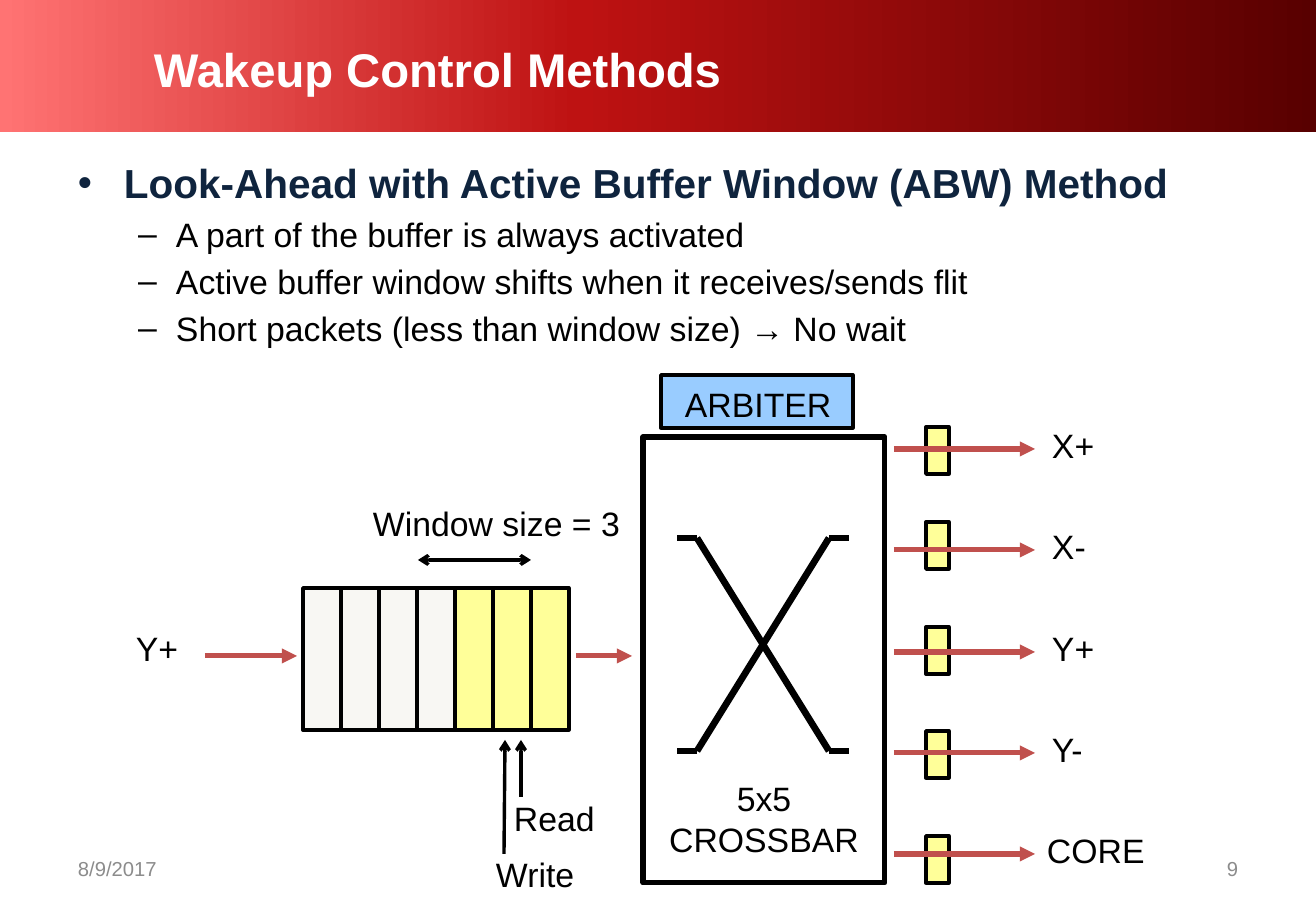
from copy import deepcopy

from lxml.etree import SubElement
from pptx import Presentation
from pptx.dml.color import RGBColor
from pptx.enum.shapes import MSO_CONNECTOR, MSO_SHAPE
from pptx.enum.text import MSO_ANCHOR, PP_ALIGN
from pptx.oxml.ns import qn
from pptx.util import Pt

SCALE = 914400 / 121.5  # EMU per pixel
BLACK, WHITE, RED = "000000", "FFFFFF", "C0504D"
NAVY, GRAY, BLUE = "0F243E", "8C8C8C", "99CCFF"
ACTIVE, SLEEPING = "FFFF99", "F8F7F3"


def px(value):
    return round(value * SCALE)


def color(hex_value):
    return RGBColor.from_string(hex_value)


def add_box(slide, left, top, width, height, fill, line_width=2):
    shape = slide.shapes.add_shape(
        MSO_SHAPE.RECTANGLE, px(left), px(top), px(width), px(height))
    shape.shadow.inherit = False
    shape.fill.solid()
    shape.fill.fore_color.rgb = color(fill)
    shape.line.color.rgb = color(BLACK)
    shape.line.width = Pt(line_width)
    return shape


def add_banner(slide, width, height, stops):
    banner = add_box(slide, 0, 0, width, height, WHITE)
    banner.line.fill.background()
    banner.fill.gradient()
    banner.fill.gradient_angle = 0
    first_stop = banner._element.spPr.find(".//" + qn("a:gs"))
    first_stop.addnext(deepcopy(first_stop))
    for stop, (position, hex_value) in zip(banner.fill.gradient_stops, stops):
        stop.position = position
        stop.color.rgb = color(hex_value)


def add_line(slide, start, end, hex_value=BLACK, width=2, head=None, tail=None):
    line = slide.shapes.add_connector(
        MSO_CONNECTOR.STRAIGHT, *map(px, start), *map(px, end))
    line.line.color.rgb = color(hex_value)
    line.line.width = Pt(width)
    outline = line.line._get_or_add_ln()
    for tag, kind in (("a:headEnd", head), ("a:tailEnd", tail)):
        if kind:
            SubElement(outline, qn(tag), type=kind)
    SubElement(line._element.spPr, qn("a:effectLst"))


def format_paragraph(paragraph, text, size=20, hex_value=BLACK, bold=False,
                     align=PP_ALIGN.LEFT):
    paragraph.alignment = align
    run = paragraph.add_run()
    run.text = text
    run.font.name = "Arial"
    run.font.size = Pt(size)
    run.font.bold = bold
    run.font.color.rgb = color(hex_value)


def add_frame(slide, left, top, width, height, wrap=False, anchor=MSO_ANCHOR.TOP):
    frame = slide.shapes.add_textbox(
        px(left), px(top), px(width), px(height)).text_frame
    frame.word_wrap = wrap
    frame.vertical_anchor = anchor
    return frame


def add_text(slide, text, left, top, width, height=53, wrap=False,
             anchor=MSO_ANCHOR.TOP, **text_format):
    frame = add_frame(slide, left, top, width, height, wrap, anchor)
    format_paragraph(frame.paragraphs[0], text, **text_format)


def add_bullets(slide, left, top, width, height, items):
    frame = add_frame(slide, left, top, width, height, wrap=True)
    for index, (level, text) in enumerate(items):
        paragraph = frame.add_paragraph() if index else frame.paragraphs[0]
        margin, hanging, bullet, size, hex_value = (
            (46, 46, "•", 24, NAVY), (98, 38, "–", 20, BLACK))[level]
        format_paragraph(paragraph, text, size=size, hex_value=hex_value,
                         bold=level == 0)
        paragraph.level = level
        paragraph.space_before = Pt(size * 0.2)
        properties = paragraph._p.get_or_add_pPr()
        properties.set("marL", str(px(margin)))
        properties.set("indent", str(-px(hanging)))
        SubElement(properties, qn("a:buFont"), typeface="Arial")
        SubElement(properties, qn("a:buChar"), char=bullet)


def add_crossbar(slide):
    add_box(slide, 643, 437, 242, 446, WHITE, line_width=3)
    add_text(slide, "5x5 CROSSBAR", 654, 772, 220, 95, wrap=True,
             align=PP_ALIGN.CENTER)
    add_box(slide, 661, 375, 192, 53, BLUE)
    add_text(slide, "ARBITER", 673, 378, 173)

    # Crossing wires with a short stub at each corner
    left, right, top, bottom = 697, 829, 538, 751
    add_line(slide, (right, top), (left, bottom), width=4)
    add_line(slide, (left, top), (right, bottom), width=4)
    for y in (top, bottom):
        for x in (left, right):
            outer = x - 20 if x == left else x + 20
            add_line(slide, (x, y), (outer, y), width=4)


def add_outputs(slide):
    outputs = (("X+", 427, 1040, 67), ("X-", 522, 1040, 58),
               ("Y+", 627, 1040, 67), ("Y-", 731, 1040, 55),
               ("CORE", 836, 1035, 123))
    for index, (name, latch_top, label_left, label_width) in enumerate(outputs):
        y = round(449 + 101.25 * index)
        add_box(slide, 926, latch_top, 23, 47, ACTIVE)
        add_line(slide, (894, y), (1035, y), RED, 3, tail="triangle")
        add_text(slide, name, label_left, y - 30, label_width)


def add_input_buffer(slide):
    add_text(slide, "Y+", 124, 622, 67)
    for start, end in ((205, 297), (576, 632)):
        add_line(slide, (start, 656), (end, 656), RED, 3, tail="triangle")
    for index, fill in enumerate([SLEEPING] * 4 + [ACTIVE] * 3):
        add_box(slide, 303 + 38 * index, 588, 38, 142, fill)

    # Active window and its pointers
    add_text(slide, "Window size = 3", 361, 497, 273)
    add_line(slide, (418, 560), (531, 560), head="arrow", tail="arrow")
    add_line(slide, (521, 797), (521, 740), tail="arrow")
    add_text(slide, "Read", 502, 792, 106)
    add_line(slide, (504, 854), (505, 740), tail="arrow")
    add_text(slide, "Write", 484, 848, 103)


def main():
    presentation = Presentation()
    presentation.slide_width, presentation.slide_height = px(1316), px(911)
    slide = presentation.slides.add_slide(presentation.slide_layouts[6])

    # Title and bullets
    add_banner(slide, 1316, 132,
               ((0, "FF7373"), (0.44, "BE1212"), (1, "580000")))
    add_text(slide, "Wakeup Control Methods", 142, 21, 1108, 95, wrap=True,
             anchor=MSO_ANCHOR.MIDDLE, size=28, hex_value=WHITE, bold=True)
    add_bullets(slide, 66, 152, 1185, 210, (
        (0, "Look-Ahead with Active Buffer Window (ABW) Method"),
        (1, "A part of the buffer is always activated"),
        (1, "Active buffer window shifts when it receives/sends flit"),
        (1, "Short packets (less than window size) → No wait")))

    # Footer
    for text, left, align in (("8/9/2017", 66, PP_ALIGN.LEFT),
                              ("9", 943, PP_ALIGN.RIGHT)):
        add_text(slide, text, left, 844, 307, 49, wrap=True, align=align,
                 anchor=MSO_ANCHOR.MIDDLE, size=12, hex_value=GRAY)

    # Router diagram
    add_crossbar(slide)
    add_outputs(slide)
    add_input_buffer(slide)

    presentation.save("out.pptx")


main()
